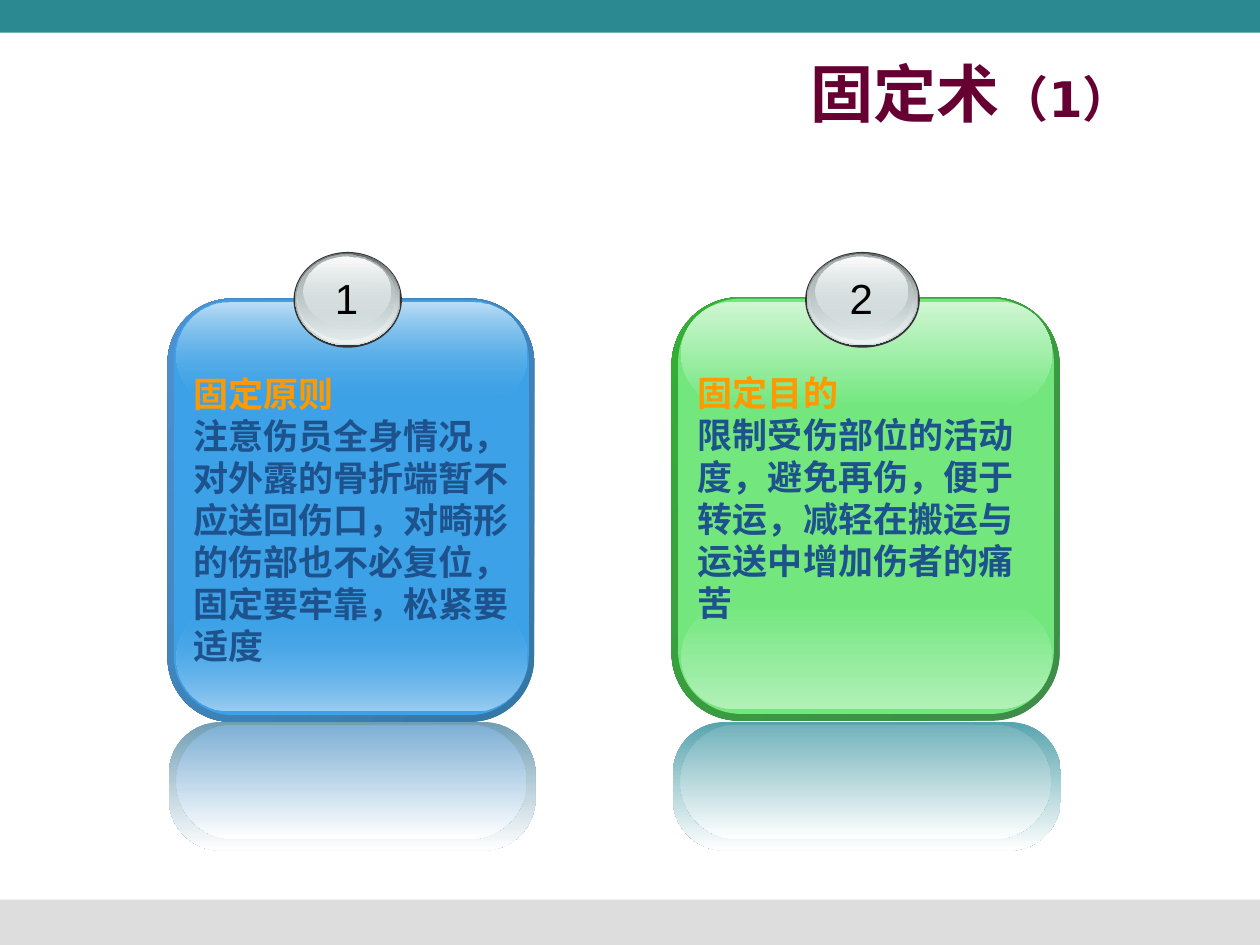
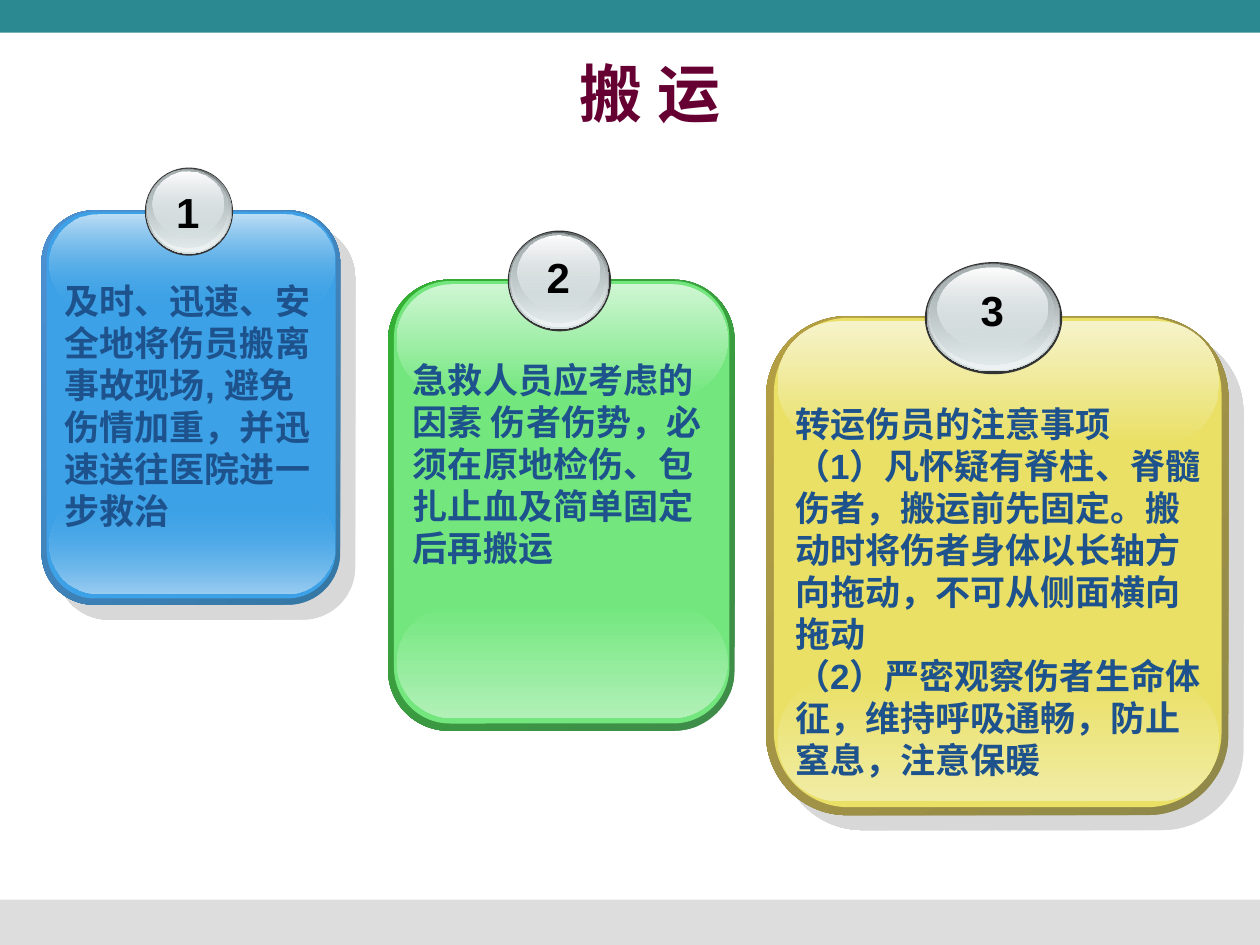
"""Build two first-aid slides of numbered glossy cards: fixation and transport."""
from lxml import etree
from pptx import Presentation
from pptx.dml.color import RGBColor
from pptx.enum.shapes import MSO_SHAPE
from pptx.enum.text import MSO_ANCHOR, PP_ALIGN
from pptx.oxml.ns import qn
from pptx.util import Inches, Pt

RECT, ROUNDED, OVAL = MSO_SHAPE.RECTANGLE, MSO_SHAPE.ROUNDED_RECTANGLE, MSO_SHAPE.OVAL
LEFT, CENTER, RIGHT = PP_ALIGN.LEFT, PP_ALIGN.CENTER, PP_ALIGN.RIGHT
MIDDLE, TOP = MSO_ANCHOR.MIDDLE, MSO_ANCHOR.TOP

rgb = RGBColor.from_string
WHITE = rgb("FFFFFF")
BLACK = rgb("000000")
TEAL = rgb("2B8A91")
FOOTER_GRAY = rgb("DDDDDD")
TITLE_COLOR = rgb("660033")
HEADING_ORANGE = rgb("FF9900")
BODY_BLUE = rgb("1D528D")
RIM = rgb("333333")
SILVER = rgb("D6E1E2")
SHADOW_HEX = "B2B2B2"

BLUE = {
    "edge": (rgb("3477A4"), rgb("4E91D4")), "face": rgb("3CA1E6"),
    "shine": rgb("BDDEF5"), "glow": rgb("9ACDF1"), "face_alpha": 0,
    "reflection": (rgb("729EB4"), rgb("7DAFD4")),
}
GREEN = {
    "edge": (rgb("3F8B4A"), rgb("34B034")), "face": rgb("73E77E"),
    "shine": rgb("CFF6D3"), "glow": rgb("B1F0B7"), "face_alpha": 100,
    "reflection": (rgb("58A4AE"), rgb("72B2BB")),
}
YELLOW = {
    "edge": (rgb("8F8849"), rgb("B59F43")), "face": rgb("E9E065"),
    "shine": rgb("F6F3CA"), "glow": rgb("F1ECA5"), "face_alpha": 100,
}

BADGE_LAYERS = [
    ((0.015, 0.01, 0.97, 0.965), (rgb("626768"), SILVER), (100, 100)),
    ((0.025, 0.015, 0.945, 0.94), (SILVER, rgb("EFF3F3")), (0, 100)),
    ((0.035, 0.025, 0.9, 0.885), (rgb("A8B1B2"), SILVER), (100, 48)),
    ((0.09, 0.05, 0.8, 0.72), (rgb("FEFEFE"), SILVER), (100, 38)),
]

SLIDES = [
    {
        "title": [("固定术", 36), ("（1）", 28)], "title_width": 8.5, "title_align": RIGHT,
        "bold_numbers": False,
        "cards": [
            {"number": "1", "palette": BLUE, "box": (1.33, 2.37, 2.91, 3.36),
             "badge": (2.33, 2, 0.86, 0.76), "reflected": True, "lines": 7,
             "heading": "固定原则",
             "body": ["注意伤员全身情况，对外露的骨折端暂不应送回伤口，对畸形的伤部也不必复位，"
                      "固定要牢靠，松紧要适度"]},
            {"number": "2", "palette": GREEN, "box": (5.33, 2.36, 3.08, 3.36),
             "badge": (6.39, 2, 0.91, 0.76), "reflected": True, "lines": 6,
             "heading": "固定目的",
             "body": ["限制受伤部位的活动度，避免再伤，便于转运，减轻在搬运与运送中增加伤者的痛苦"]},
        ],
    },
    {
        "title": [("搬 运", 36)], "title_width": 9.16, "title_align": CENTER,
        "bold_numbers": True,
        "cards": [
            {"number": "1", "palette": BLUE, "box": (0.33, 1.67, 2.37, 3.13),
             "badge": (1.15, 1.33, 0.7, 0.7), "shadowed": True, "lines": 6,
             "body": ["及时、迅速、安全地将伤员搬离事故现场, 避免伤情加重，并迅速送往医院进一步救治"]},
            {"number": "2", "palette": GREEN, "box": (3.08, 2.22, 2.75, 3.58),
             "badge": (4.03, 1.83, 0.82, 0.8), "lines": 5,
             "body": ["急救人员应考虑的因素 伤者伤势，必须在原地检伤、包扎止血及简单固定后再搬运"]},
            {"number": "3", "palette": YELLOW, "box": (6.08, 2.51, 3.67, 3.96),
             "badge": (7.34, 2.08, 1.09, 0.89), "shadowed": True, "lines": 9,
             "body": ["转运伤员的注意事项",
                      "（1）凡怀疑有脊柱、脊髓伤者，搬运前先固定。搬动时将伤者身体以长轴方向拖动，"
                      "不可从侧面横向拖动",
                      "（2）严密观察伤者生命体征，维持呼吸通畅，防止窒息，注意保暖"]},
        ],
    },
]


def within(box, fractions):
    """Return the part of box that the fractions of its size describe."""
    left, top, width, height = box
    x, y, w, h = fractions
    return left + x * width, top + y * height, w * width, h * height


def add_solid(slide, kind, box, color, radius=None):
    """Add a borderless shape with one colour."""
    shape = slide.shapes.add_shape(kind, *map(Inches, box))
    shape.shadow.inherit = False
    shape.line.fill.background()
    shape.fill.solid()
    shape.fill.fore_color.rgb = color
    if radius is not None:
        shape.adjustments[0] = radius
    return shape


def add_gradient(slide, kind, box, colors, alphas=(100, 100), radius=None, angle=270):
    """Add a borderless shape with a two-stop gradient."""
    shape = add_solid(slide, kind, box, colors[0], radius)
    shape.fill.gradient()
    shape.fill.gradient_angle = angle
    for stop, color in zip(shape.fill.gradient_stops, colors):
        stop.color.rgb = color
    stop_colors = shape._element.spPr.find(qn("a:gradFill")).iter(qn("a:srgbClr"))
    for stop_color, alpha in zip(list(stop_colors), alphas):
        if alpha < 100:
            etree.SubElement(stop_color, qn("a:alpha"), val=str(alpha * 1000))
    return shape


def cast_shadow(shape):
    """Give the shape a hard half-transparent shadow to the lower right."""
    effects = shape._element.spPr.find(qn("a:effectLst"))
    shadow = etree.SubElement(effects, qn("a:outerShdw"), blurRad="0", dist=str(Pt(12.1)),
                              dir="2700000", algn="ctr", rotWithShape="0")
    color = etree.SubElement(shadow, qn("a:srgbClr"), val=SHADOW_HEX)
    etree.SubElement(color, qn("a:alpha"), val="50000")


def add_text(slide, box, paragraphs, align=LEFT, font="Arial", bold=True, anchor=TOP, wrap=True):
    """Add paragraphs, each a colour with its (text, size) runs."""
    frame = slide.shapes.add_textbox(*map(Inches, box)).text_frame
    frame.word_wrap = wrap
    frame.vertical_anchor = anchor
    for index, (color, runs) in enumerate(paragraphs):
        paragraph = frame.add_paragraph() if index else frame.paragraphs[0]
        paragraph.alignment = align
        paragraph.font.name = font
        paragraph.font.bold = bold
        paragraph.font.color.rgb = color
        for text, size in runs:
            run = paragraph.add_run()
            run.text = text
            run.font.size = Pt(size)


def add_card(slide, card, bold_number):
    """Draw a glossy card with its badge, text and optional reflection."""
    box, palette = card["box"], card["palette"]
    left, top, width, height = box
    edge = add_gradient(slide, ROUNDED, box, palette["edge"], radius=0.175, angle=135)
    if card.get("shadowed"):
        cast_shadow(edge)
    face, alpha = palette["face"], palette["face_alpha"]
    add_solid(slide, ROUNDED, within(box, (0.017, 0.003, 0.968, 0.981)), face, 0.167)
    add_gradient(slide, ROUNDED, within(box, (0.025, 0.724, 0.955, 0.248)),
                 (face, palette["glow"]), (alpha, 100), 0.5)
    add_gradient(slide, ROUNDED, within(box, (0.025, 0.01, 0.955, 0.247)),
                 (palette["shine"], face), (100, alpha), 0.5)

    if card.get("reflected"):
        outer, inner = palette["reflection"]
        add_gradient(slide, ROUNDED, (left + 0.01, 5.73, width, 1.02), (outer, WHITE),
                     radius=0.404)
        add_gradient(slide, ROUNDED, (left + 0.07, 5.75, 0.955 * width, 0.91),
                     (inner, WHITE), radius=0.5)

    badge = card["badge"]
    add_solid(slide, OVAL, badge, RIM)
    for fractions, colors, alphas in BADGE_LAYERS:
        add_gradient(slide, OVAL, within(badge, fractions), colors, alphas)
    number_left = badge[0] + badge[2] / 2 - 0.2
    add_text(slide, (number_left, badge[1] + 0.145 * badge[3], 0.38, 0.5),
             [(BLACK, [(card["number"], 24)])], CENTER, bold=bold_number, wrap=False)

    paragraphs = [(BODY_BLUE, [(text, 20)]) for text in card["body"]]
    if "heading" in card:
        paragraphs.insert(0, (HEADING_ORANGE, [(card["heading"], 20)]))
    text_box = (left + 0.036 * width, top + 0.16 * height, 0.95 * width,
                0.1 + card["lines"] / 3)
    add_text(slide, text_box, paragraphs)


def add_slide(deck, content):
    """Add one slide with the shared bands, its title and its cards."""
    slide = deck.slides.add_slide(deck.slide_layouts[6])
    add_solid(slide, RECT, (0, 7.14, 10, 0.36), FOOTER_GRAY)
    add_solid(slide, RECT, (0, 0, 10, 0.26), TEAL)
    add_text(slide, (0.58, 0.42, content["title_width"], 0.62),
             [(TITLE_COLOR, content["title"])], content["title_align"],
             "DejaVu Sans", anchor=MIDDLE)
    for card in content["cards"]:
        add_card(slide, card, content["bold_numbers"])


def main():
    """Build and save the deck."""
    deck = Presentation()
    deck.slide_width, deck.slide_height = Inches(10), Inches(7.5)
    for content in SLIDES:
        add_slide(deck, content)
    deck.save("out.pptx")


if __name__ == "__main__":
    main()
